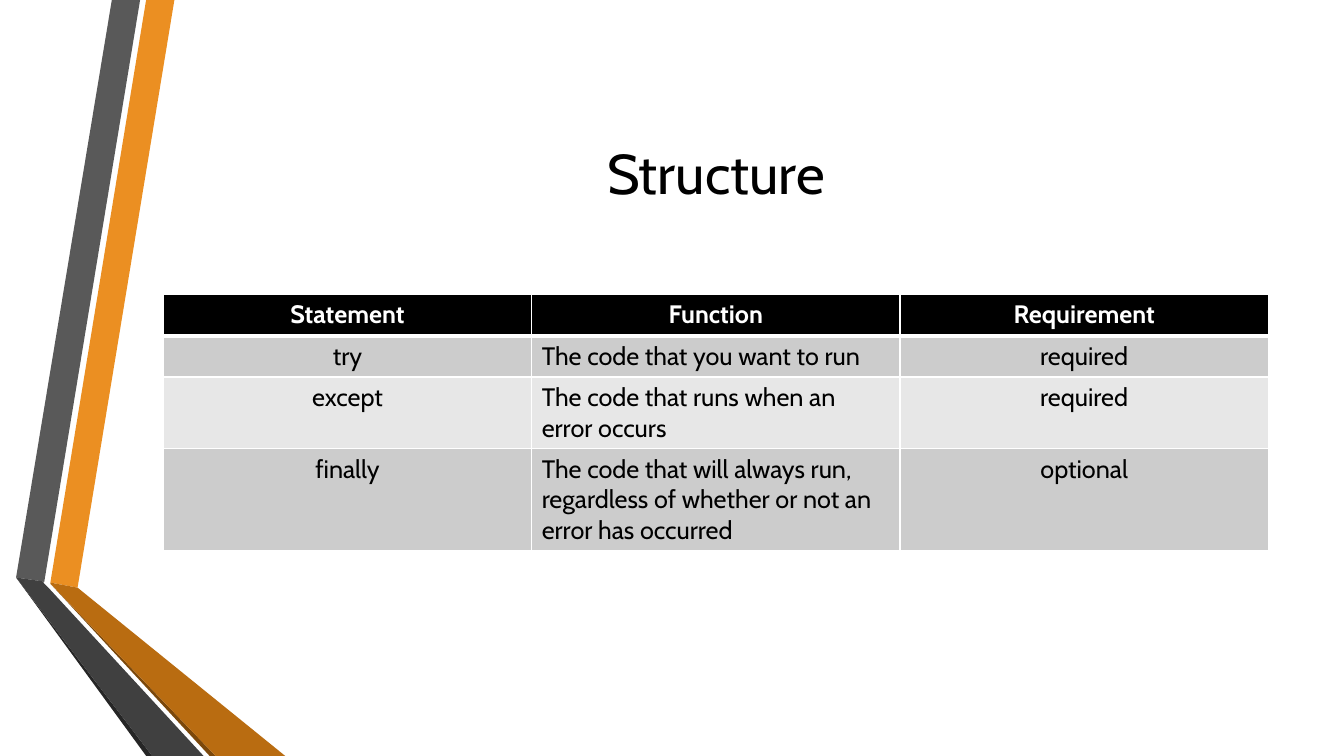
from dataclasses import dataclass

from lxml import etree
from pptx import Presentation
from pptx.dml.color import RGBColor
from pptx.enum.text import MSO_ANCHOR, MSO_AUTO_SIZE, PP_ALIGN
from pptx.oxml.ns import qn
from pptx.util import Emu, Pt

PX = 9144
TITLE_ONLY = 5
LEFT, CENTER = PP_ALIGN.LEFT, PP_ALIGN.CENTER
MIDDLE = MSO_ANCHOR.MIDDLE
NO_AUTOFIT = MSO_AUTO_SIZE.NONE


@dataclass(frozen=True)
class Theme:
    """Hold the font, type sizes, line weights and colours of the slide."""

    font: str = "Cabin"
    title_size: int = 40
    table_size: int = 18
    rule: int = 1
    header_rule: int = 3
    ink: str = "000000"
    paper: str = "FFFFFF"
    row_fills: tuple = ("CCCCCC", "E7E7E7")


THEME = Theme()

RIBBONS = [
    ("EB8F22", [(50, 578), (77, 583), (173, 0), (145, 0)]),
    ("595959", [(139, 0), (111, 0), (16, 573), (44, 577)]),
    ("262626", [(16, 573), (145, 750), (151, 750)]),
    ("7B480B", [(50, 579), (208, 750), (214, 750)]),
    ("B96C11", [(50, 579), (214, 750), (283, 750), (77, 583), (50, 578)]),
    ("404040", [(202, 750), (48, 583), (43, 578), (44, 577), (16, 573), (151, 750)]),
]

STATEMENTS = [
    ("Statement", "Function", "Requirement"),
    ("try", "The code that you want to run", "required"),
    ("except", "The code that runs when an error occurs", "required"),
    (
        "finally",
        "The code that will always run, regardless of whether or not an error has occurred",
        "optional",
    ),
]


def px(length):
    """Turn a length in px into EMU."""
    return Emu(length * PX)


def add_ribbon(slide, color, corners):
    """Draw one flat facet of the folded ribbons."""
    outline = slide.shapes.build_freeform(*corners[0], scale=PX)
    outline.add_line_segments(corners[1:], close=True)
    facet = outline.convert_to_shape()
    facet.fill.solid()
    facet.fill.fore_color.rgb = RGBColor.from_string(color)
    facet.line.fill.background()
    facet.shadow.inherit = False


def write(frame, text, size, color, align, bold=False):
    """Write one formatted run into the first paragraph of a text frame."""
    paragraph = frame.paragraphs[0]
    paragraph.alignment = align
    run = paragraph.add_run()
    run.text = text
    run.font.name = THEME.font
    run.font.size = Pt(size)
    run.font.bold = bold
    run.font.color.rgb = RGBColor.from_string(color)


def set_title(slide, text, left, top, width, height):
    """Place and format the title placeholder."""
    title = slide.shapes.title
    title.left, title.top = px(left), px(top)
    title.width, title.height = px(width), px(height)
    frame = title.text_frame
    frame.word_wrap = True
    frame.auto_size = NO_AUTOFIT
    frame.vertical_anchor = MIDDLE
    write(frame, text, THEME.title_size, THEME.ink, CENTER)


def set_borders(cell, top, bottom):
    """Rule the four sides of a cell, with top and bottom weights in points."""
    properties = cell._tc.get_or_add_tcPr()
    weights = {"a:lnL": THEME.rule, "a:lnR": THEME.rule, "a:lnT": top, "a:lnB": bottom}
    for side, weight in weights.items():
        border = etree.SubElement(properties, qn(side), w=str(Pt(weight)))
        fill = etree.SubElement(border, qn("a:solidFill"))
        etree.SubElement(fill, qn("a:srgbClr"), val=THEME.paper)


def format_cell(cell, text, row, column):
    """Fill, rule and write a cell according to its row and column."""
    header = row == 0
    set_borders(
        cell,
        top=THEME.header_rule if row == 1 else THEME.rule,
        bottom=THEME.header_rule if header else THEME.rule,
    )
    cell.fill.solid()
    fill = THEME.ink if header else THEME.row_fills[(row - 1) % 2]
    cell.fill.fore_color.rgb = RGBColor.from_string(fill)
    color = THEME.paper if header else THEME.ink
    align = LEFT if column == 1 and not header else CENTER
    write(cell.text_frame, text, THEME.table_size, color, align, bold=header)


def add_statement_table(slide, rows, left, top, width, height, row_height):
    """Add the table of statements with equal columns."""
    holder = slide.shapes.add_table(
        len(rows), len(rows[0]), px(left), px(top), px(width), px(height)
    )
    table = holder.table
    for row, texts in enumerate(rows):
        table.rows[row].height = px(row_height)
        for column, text in enumerate(texts):
            format_cell(table.cell(row, column), text, row, column)
    holder.height = px(height)


def main():
    """Build the slide and save it."""
    deck = Presentation()
    deck.slide_width, deck.slide_height = px(1333), px(750)
    slide = deck.slides.add_slide(deck.slide_layouts[TITLE_ONLY])
    for color, corners in RIBBONS:
        add_ribbon(slide, color, corners)
    set_title(slide, "Structure", 162, 75, 1096, 192)
    add_statement_table(slide, STATEMENTS, 162, 292, 1096, 251, row_height=41)
    deck.save("out.pptx")


if __name__ == "__main__":
    main()
